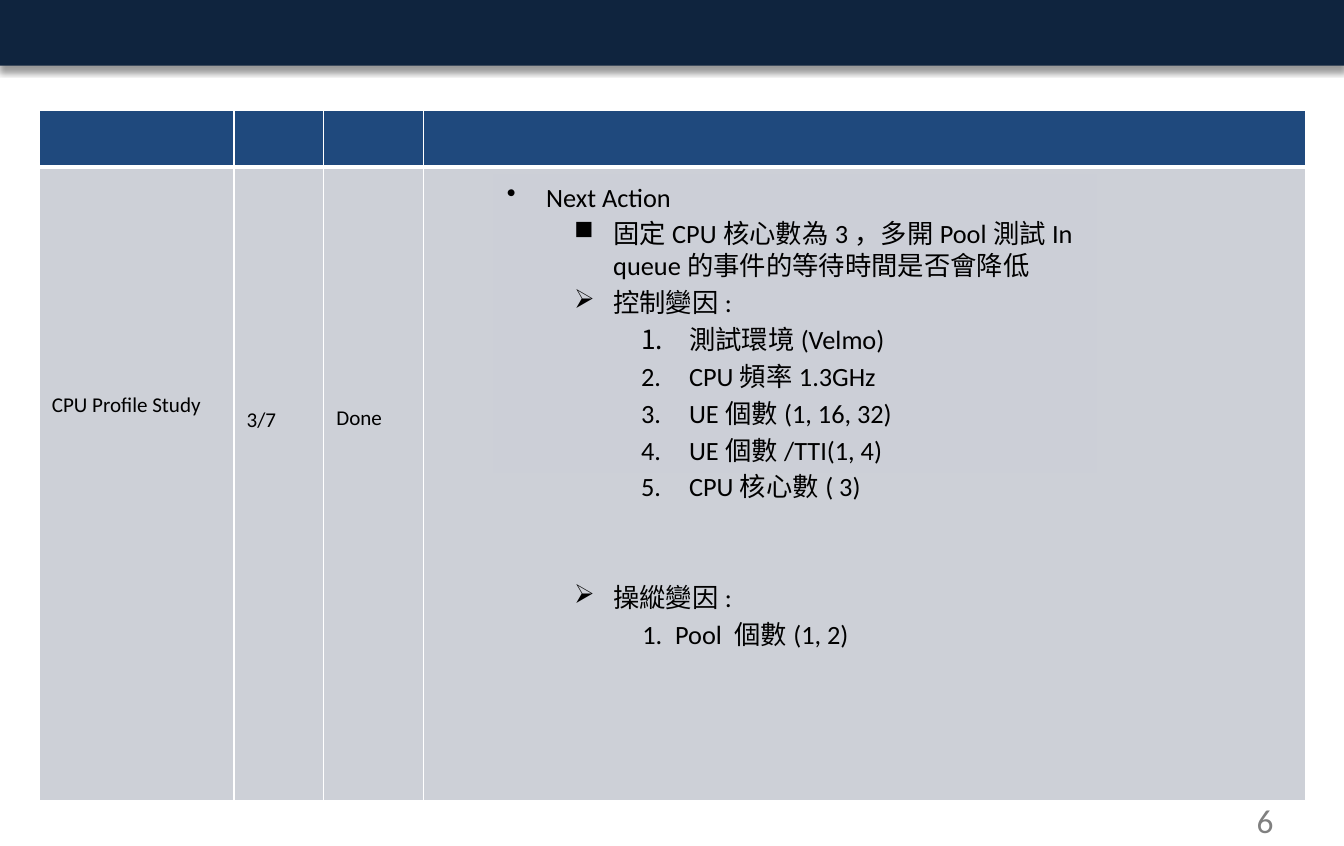
from dataclasses import dataclass

from lxml.etree import SubElement
from pptx import Presentation
from pptx.dml.color import RGBColor
from pptx.enum.shapes import MSO_SHAPE
from pptx.enum.text import MSO_ANCHOR, PP_ALIGN
from pptx.oxml import parse_xml
from pptx.oxml.ns import nsdecls, qn
from pptx.util import Emu, Inches, Pt

WIDE, HIGH = Inches(10.63), Inches(6.69)
NAVY, BLUE, GREY, PANEL = "0F243E", "1F497D", "CDD0D7", "CCCFD7"
WHITE, BLACK, DIM = "FFFFFF", "000000", "808080"
COLS = (14.49, 6.68, 7.43, 65.66)
ROWS = (6.73, 74.89)


@dataclass
class Box:
    """A place on the slide, in percent of its width and height."""
    left: float
    top: float
    width: float
    height: float

    def place(self) -> tuple:
        return (across(self.left), down(self.top),
                across(self.width), down(self.height))


@dataclass
class Entry:
    """Cell text with its top margin, in percent of the slide's height."""
    text: str
    drop: float


@dataclass
class Item:
    """A list line; a mark of "1." is numbered automatically."""
    text: str
    mark: str
    level: int
    left: float
    hang: float
    before: float = 3


BAND = Box(0, 0, 100, 7.77)
GRID = Box(2.92, 13, sum(COLS), sum(ROWS))
NOTES = Box(36.69, 20.63, 44.87, 35.28)
PAGE = Box(92.57, 93.87, 5.17, 4.48)

ENTRIES = (Entry("CPU Profile Study", 26.7), Entry("3/7", 28.4),
           Entry("Done", 28.2))

FIXED = ("測試環境(Velmo)", "CPU頻率1.3GHz", "UE個數(1, 16, 32)",
         "UE個數/TTI(1, 4)", "CPU核心數( 3)")
ITEMS = (
    Item("Next Action", "•", 0, 0.31, 0.31, 0),
    Item("固定CPU核心數為3，多開Pool測試In queue的事件的等待時間是否會降低",
         "■", 1, 0.84, 0.31),
    Item("控制變因:", "➢", 1, 0.84, 0.31),
    *(Item(text, "1.", 2, 1.44, 0.38) for text in FIXED),
    Item("操縱變因:", "➢", 1, 0.84, 0.31, 45),
    Item("Pool 個數(1, 2)", "1.", 2, 1.33, 0.26),
)


def across(share: float) -> Emu:
    return Emu(round(WIDE * share / 100))


def down(share: float) -> Emu:
    return Emu(round(HIGH * share / 100))


def color(code: str) -> RGBColor:
    return RGBColor.from_string(code)


def paint(thing, code: str) -> None:
    thing.fill.solid()
    thing.fill.fore_color.rgb = color(code)


def write(para, text: str, size: float = 12, ink: str = BLACK) -> None:
    para.alignment = PP_ALIGN.LEFT
    run = para.add_run()
    run.text = text
    run.font.name = "Calibri"
    run.font.size = Pt(size)
    run.font.color.rgb = color(ink)


def add_rect(slide, box: Box, code: str):
    rect = slide.shapes.add_shape(MSO_SHAPE.RECTANGLE, *box.place())
    rect.shadow.inherit = False
    paint(rect, code)
    rect.line.fill.background()
    return rect


def cast(shape) -> None:
    """Give the shape a soft shadow below it."""
    glow = shape._element.spPr.find(qn("a:effectLst"))
    glow.append(parse_xml(
        f'<a:outerShdw {nsdecls("a")} blurRad="{Pt(4)}" dist="{Pt(3)}" '
        f'dir="5400000" rotWithShape="0"><a:srgbClr val="{BLACK}">'
        '<a:alpha val="40000"/></a:srgbClr></a:outerShdw>'))


def edge(cell, base: float) -> None:
    """Draw white cell borders, the lower one in its own width."""
    props = cell._tc.get_or_add_tcPr()
    for spot, (side, width) in enumerate(zip("LRTB", (1, 1, 1, base))):
        props.insert(spot, parse_xml(
            f'<a:ln{side} {nsdecls("a")} w="{Pt(width)}"><a:solidFill>'
            f'<a:srgbClr val="{WHITE}"/></a:solidFill></a:ln{side}>'))


def add_grid(slide) -> None:
    table = slide.shapes.add_table(len(ROWS), len(COLS), *GRID.place()).table
    table.horz_banding = False
    for col, share in zip(table.columns, COLS):
        col.width = across(share)
    for row, share, code, base in zip(table.rows, ROWS, (BLUE, GREY), (3, 1)):
        row.height = down(share)
        for cell in row.cells:
            paint(cell, code)
            edge(cell, base)
    for col, entry in enumerate(ENTRIES):
        cell = table.cell(1, col)
        cell.margin_top = down(entry.drop)
        write(cell.text_frame.paragraphs[0], entry.text)


def add_item(para, item: Item) -> None:
    para.level = item.level
    para.space_before = Pt(item.before)
    props = para._p.get_or_add_pPr()
    props.set("marL", str(Inches(item.left)))
    props.set("indent", str(-Inches(item.hang)))
    if item.mark == "1.":
        SubElement(props, qn("a:buAutoNum"), type="arabicPeriod")
    else:
        SubElement(props, qn("a:buChar"), char=item.mark)
    write(para, item.text, size=15)


def add_notes(slide) -> None:
    frame = add_rect(slide, NOTES, PANEL).text_frame
    frame.word_wrap = True
    frame.vertical_anchor = MSO_ANCHOR.TOP
    frame.margin_left = frame.margin_right = Inches(0.11)
    for spot, item in enumerate(ITEMS):
        para = frame.add_paragraph() if spot else frame.paragraphs[0]
        add_item(para, item)


def main() -> None:
    deck = Presentation()
    deck.slide_width, deck.slide_height = WIDE, HIGH
    slide = deck.slides.add_slide(deck.slide_layouts[6])
    cast(add_rect(slide, BAND, NAVY))
    add_grid(slide)
    page = slide.shapes.add_textbox(*PAGE.place()).text_frame
    page.word_wrap = True
    write(page.paragraphs[0], "6", size=19, ink=DIM)
    add_notes(slide)
    deck.save("out.pptx")


if __name__ == "__main__":
    main()
